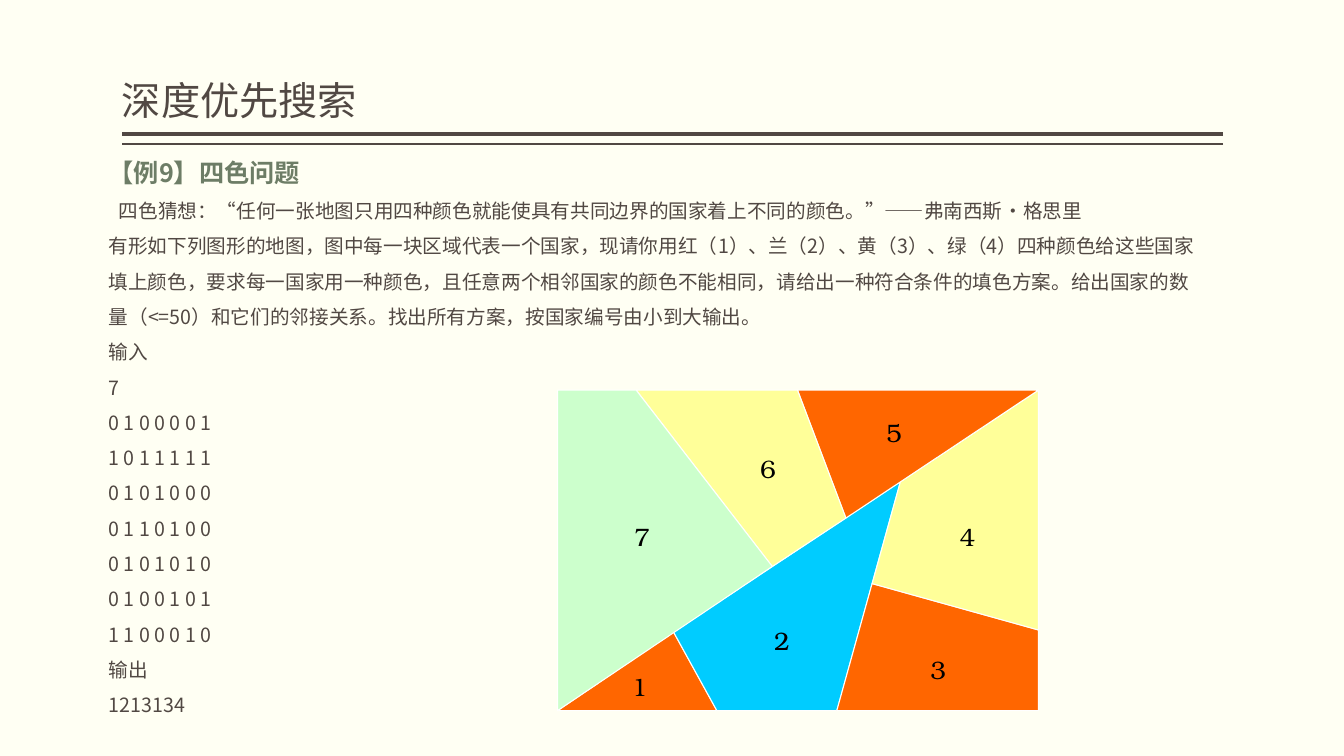
from dataclasses import dataclass

from lxml.etree import SubElement
from pptx import Presentation
from pptx.dml.color import RGBColor as RGB
from pptx.enum.text import MSO_ANCHOR as Anchor, MSO_AUTO_SIZE as Fit
from pptx.oxml.ns import qn
from pptx.util import Inches, Pt

PAPER = RGB(0xFF, 0xFF, 0xF3)
INK = RGB(0x51, 0x48, 0x43)
SAGE = RGB(0x6D, 0x7D, 0x66)
BLACK = RGB(0, 0, 0)
WHITE = RGB(0xFF, 0xFF, 0xFF)
ORANGE = RGB(0xFF, 0x66, 0x00)
BLUE = RGB(0x00, 0xCC, 0xFF)
YELLOW = RGB(0xFF, 0xFF, 0x99)
GREEN = RGB(0xCC, 0xFF, 0xCC)

SANS = "Noto Sans CJK SC"
SERIF = "TeX Gyre Bonum"


@dataclass
class Style:
    size: float
    color: RGB
    face: str = SANS
    bold: bool = False


@dataclass
class Land:
    label: str
    fill: RGB
    spot: tuple  # left and top of the label
    edge: list  # corners of the region


HEADING = Style(18, SAGE, bold=True)
BODY = Style(14, INK)
TITLE = Style(28, INK)
NUMBER = Style(18, BLACK, SERIF)

TEXT = [
    "四色猜想：“任何一张地图只用四种颜色就能使具有共同边界的国家着上不同的颜色。”——弗南西斯·格思里",
    "有形如下列图形的地图，图中每一块区域代表一个国家，现请你用红（1）、兰（2）、黄（3）、绿（4）"
    "四种颜色给这些国家填上颜色，要求每一国家用一种颜色，且任意两个相邻国家的颜色不能相同，"
    "请给出一种符合条件的填色方案。给出国家的数量（<=50）和它们的邻接关系。"
    "找出所有方案，按国家编号由小到大输出。",
    "输入\v7",
    "0 1 0 0 0 0 1",
    "1 0 1 1 1 1 1",
    "0 1 0 1 0 0 0",
    "0 1 1 0 1 0 0",
    "0 1 0 1 0 1 0",
    "0 1 0 0 1 0 1",
    "1 1 0 0 0 1 0",
    "输出\v1213134",
]

# Corners of the map and the points where its borders meet
LEFT, TOP, RIGHT, BASE = 5.53, 3.87, 10.3, 7.05
NW, NE, SW, SE = (LEFT, TOP), (RIGHT, TOP), (LEFT, BASE), (RIGHT, BASE)
TOP_A, TOP_B = (6.31, TOP), (7.91, TOP)
LOW_A, LOW_B = (7.11, BASE), (8.3, BASE)
EAST = (RIGHT, 6.25)
MID_A, MID_B, MID_C, MID_D = (6.68, 6.27), (7.66, 5.62), (8.39, 5.14), (8.93, 4.78)
FORK = (8.65, 5.79)

LANDS = [
    Land("1", ORANGE, (6.17, 6.61), [SW, LOW_A, MID_A]),
    Land("2", BLUE, (7.58, 6.15), [LOW_A, LOW_B, MID_D, MID_A]),
    Land("3", ORANGE, (9.13, 6.44), [LOW_B, SE, EAST, FORK]),
    Land("4", YELLOW, (9.42, 5.12), [EAST, NE, MID_D, FORK]),
    Land("5", ORANGE, (8.69, 4.09), [NE, TOP_B, MID_C]),
    Land("6", YELLOW, (7.44, 4.45), [TOP_B, TOP_A, MID_B, MID_C]),
    Land("7", GREEN, (6.19, 5.12), [NW, SW, MID_B, TOP_A]),
]


def add_box(slide, left: float, top: float, width: float, height: float):
    box = slide.shapes.add_textbox(*map(Inches, (left, top, width, height)))
    box.text_frame.word_wrap = True
    return box.text_frame


def format_runs(para, style: Style) -> None:
    for run in para.runs:
        font = run.font
        font.size, font.bold, font.name = Pt(style.size), style.bold, style.face
        font.color.rgb = style.color
        SubElement(font._element, qn("a:ea")).set("typeface", style.face)
    # Line breaks take the same size as the text around them
    for gap in para._p.findall(qn("a:br")):
        SubElement(gap, qn("a:rPr")).set("sz", str(int(style.size * 100)))


def add_rule(slide, top: float, weight: float) -> None:
    y = Inches(top)
    rule = slide.shapes.add_connector(1, Inches(12.13), y, Inches(1.21), y)
    rule.line.color.rgb = INK
    rule.line.width = Pt(weight)
    SubElement(rule._element.spPr, qn("a:effectLst"))


def add_title(slide) -> None:
    frame = add_box(slide, 1.21, 0.08, 10.92, 1.2)
    frame.margin_left = frame.margin_right = 0
    frame.vertical_anchor = Anchor.BOTTOM
    frame.text = "深度优先搜索"
    para = frame.paragraphs[0]
    para.line_spacing = 0.9
    format_runs(para, TITLE)


def add_body(slide) -> None:
    frame = add_box(slide, 0.98, 1.36, 11.07, 6.17)
    frame.text = "【例9】四色问题"
    for text in TEXT:
        frame.add_paragraph().text = text
    for i, para in enumerate(frame.paragraphs):
        style = BODY if i else HEADING
        para.line_spacing = Pt(style.size * 1.8)
        format_runs(para, style)
    # The quotation starts slightly indented
    quote = frame.paragraphs[1]._p.get_or_add_pPr()
    quote.set("indent", str(Inches(0.1)))


def add_land(slide, land: Land) -> None:
    first, *rest = [(Inches(x), Inches(y)) for x, y in land.edge]
    pen = slide.shapes.build_freeform(*first)
    pen.add_line_segments(rest, close=True)
    area = pen.convert_to_shape()
    area.shadow.inherit = False
    area.fill.solid()
    area.fill.fore_color.rgb = land.fill
    area.line.color.rgb = WHITE
    area.line.width = Pt(0.75)


def add_label(slide, land: Land) -> None:
    frame = add_box(slide, *land.spot, 0.33, 0.37)
    frame.word_wrap = False
    frame.auto_size = Fit.SHAPE_TO_FIT_TEXT
    frame.text = land.label
    format_runs(frame.paragraphs[0], NUMBER)


def main() -> None:
    deck = Presentation()
    deck.slide_width, deck.slide_height = Inches(13.33), Inches(7.5)
    slide = deck.slides.add_slide(deck.slide_layouts[6])
    slide.background.fill.solid()
    slide.background.fill.fore_color.rgb = PAPER

    # Heading with its double rule
    add_rule(slide, 1.33, 3)
    add_rule(slide, 1.43, 1)
    add_title(slide)

    # Problem statement
    add_body(slide)

    # Map, with labels above all regions
    for land in LANDS:
        add_land(slide, land)
    for land in LANDS:
        add_label(slide, land)

    deck.save("out.pptx")


if __name__ == "__main__":
    main()
